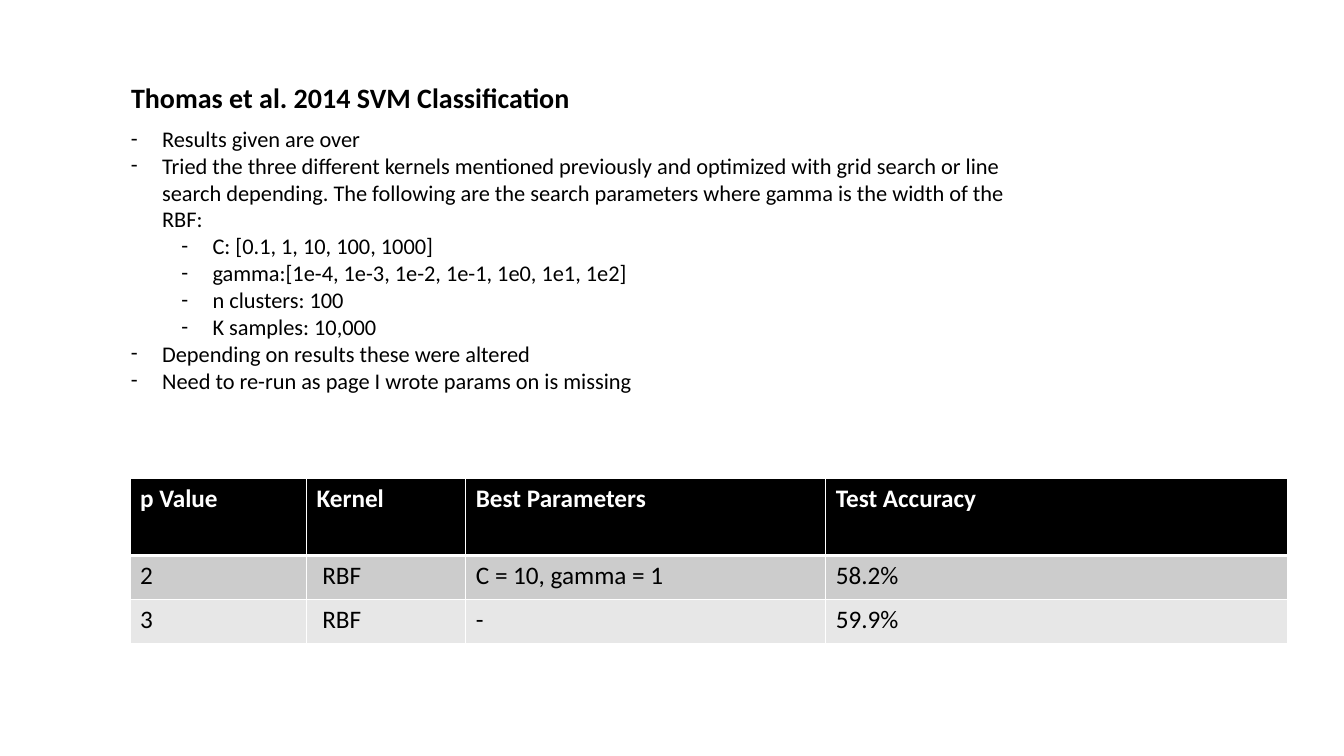
import pptx
import pptx.dml.color
import pptx.enum.text
import pptx.oxml.ns
import pptx.util
import lxml.etree

BLACK = pptx.dml.color.RGBColor(0x00, 0x00, 0x00)
WHITE = pptx.dml.color.RGBColor(0xFF, 0xFF, 0xFF)
GRAY = pptx.dml.color.RGBColor(0xCC, 0xCC, 0xCC)
LIGHT_GRAY = pptx.dml.color.RGBColor(0xE7, 0xE7, 0xE7)

EMU_PER_PX = 9144
TITLE_ONLY_LAYOUT = 5

BULLETS = [
    (0, "Results given are over"),
    (0, "Tried the three different kernels mentioned previously and optimized with grid search "
        "or line search depending. The following are the search parameters where gamma is the "
        "width of the RBF:"),
    (1, "C: [0.1, 1, 10, 100, 1000]"),
    (1, "gamma:[1e-4, 1e-3, 1e-2, 1e-1, 1e0, 1e1, 1e2]"),
    (1, "n clusters: 100"),
    (1, "K samples: 10,000"),
    (0, "Depending on results these were altered"),
    (0, "Need to re-run as page I wrote params on is missing"),
]

RESULTS = [
    ["p Value", "Kernel", "Best Parameters", "Test Accuracy"],
    ["2", " RBF", "C = 10, gamma = 1", "58.2%"],
    ["3", " RBF", "-", "59.9%"],
]


def px(length):
    return pptx.util.Emu(length * EMU_PER_PX)


def add_element(parent, tag, **attributes):
    element = lxml.etree.SubElement(parent, pptx.oxml.ns.qn(tag))
    for name, value in attributes.items():
        element.set(name, str(value))
    return element


class SlideBuilder:
    font_name = "Calibri"

    def __init__(self, slide):
        self.slide = slide

    def format_runs(self, paragraph, size, color=BLACK, bold=False):
        for run in paragraph.runs:
            run.font.name = self.font_name
            run.font.size = pptx.util.Pt(size)
            run.font.color.rgb = color
            run.font.bold = bold

    def title(self, text, left, top, width, height):
        shape = self.slide.shapes.title
        shape.left, shape.top = px(left), px(top)
        shape.width, shape.height = px(width), px(height)
        text_frame = shape.text_frame
        text_frame.text = text
        text_frame.word_wrap = True
        text_frame.auto_size = pptx.enum.text.MSO_AUTO_SIZE.NONE
        text_frame.vertical_anchor = pptx.enum.text.MSO_ANCHOR.TOP
        paragraph = text_frame.paragraphs[0]
        paragraph.alignment = pptx.enum.text.PP_ALIGN.LEFT
        self.format_runs(paragraph, 20, bold=True)

    def bullet_list(self, items, left, top, width, height, size=16, hanging=31, level_step=50):
        shape = self.slide.shapes.add_textbox(px(left), px(top), px(width), px(height))
        text_frame = shape.text_frame
        text_frame.word_wrap = True
        for index, (level, text) in enumerate(items):
            paragraph = text_frame.add_paragraph() if index else text_frame.paragraphs[0]
            paragraph.text = text
            paragraph.level = level
            self.format_runs(paragraph, size)
            properties = paragraph._p.get_or_add_pPr()
            properties.set("marL", str(px(hanging + level * level_step)))
            properties.set("indent", str(px(-hanging)))
            add_element(properties, "a:buFont", typeface=self.font_name)
            add_element(properties, "a:buChar", char="-")

    def table(self, rows, left, top, column_widths, row_heights, row_fills, size=18):
        frame = self.slide.shapes.add_table(
            len(rows), len(column_widths), px(left), px(top),
            px(sum(column_widths)), px(sum(row_heights)))
        table = frame.table
        for column, width in zip(table.columns, column_widths):
            column.width = px(width)
        for row_index, (row, height, fill) in enumerate(zip(rows, row_heights, row_fills)):
            table.rows[row_index].height = px(height)
            is_header = row_index == 0
            for column_index, text in enumerate(row):
                cell = table.cell(row_index, column_index)
                cell.text_frame.text = text
                self.format_runs(cell.text_frame.paragraphs[0], size,
                                 WHITE if is_header else BLACK, is_header)
                self.cell_borders(cell, 3 if row_index == 1 else 1, 3 if is_header else 1)
                cell.fill.solid()
                cell.fill.fore_color.rgb = fill

    def cell_borders(self, cell, top_width, bottom_width):
        properties = cell._tc.get_or_add_tcPr()
        widths = {"a:lnL": 1, "a:lnR": 1, "a:lnT": top_width, "a:lnB": bottom_width}
        for tag, width in widths.items():
            line = add_element(properties, tag, w=pptx.util.Pt(width))
            add_element(add_element(line, "a:solidFill"), "a:srgbClr", val=WHITE)


def main():
    presentation = pptx.Presentation()
    presentation.slide_width = px(1333)
    presentation.slide_height = px(750)
    slide = presentation.slides.add_slide(presentation.slide_layouts[TITLE_ONLY_LAYOUT])
    builder = SlideBuilder(slide)
    builder.title("Thomas et al. 2014 SVM Classification", 120, 75, 465, 44)
    builder.bullet_list(BULLETS, 120, 119, 899, 279)
    builder.table(RESULTS, 129, 475, [175, 158, 357, 458], [76, 44, 44],
                  [BLACK, GRAY, LIGHT_GRAY])
    presentation.save("out.pptx")


if __name__ == "__main__":
    main()
